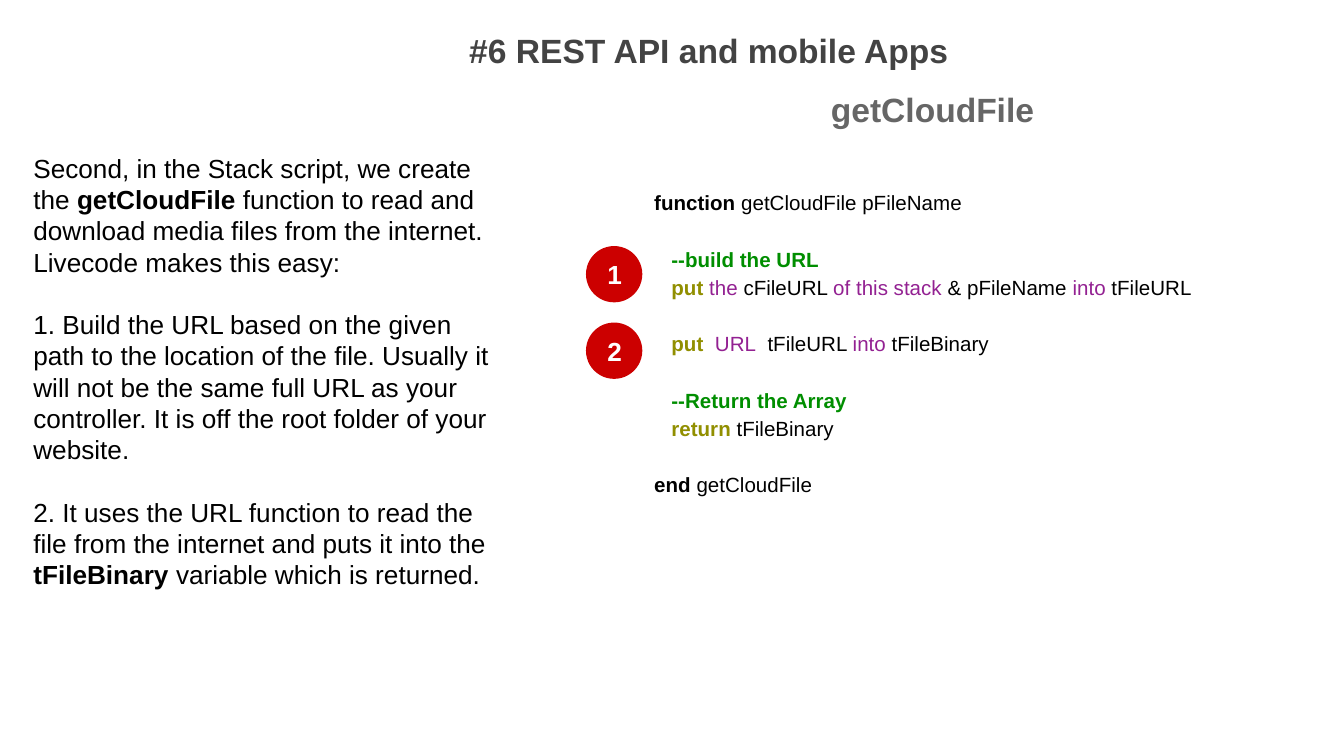
import pptx
import pptx.util
import pptx.dml.color
import pptx.enum.shapes
import pptx.enum.text

Pt = pptx.util.Pt
ALIGN = pptx.enum.text.PP_ALIGN
ANCHOR = pptx.enum.text.MSO_ANCHOR

COLORS = {
    "title": "434343", "subtitle": "666666", "text": "000000",
    "comment": "008E00", "command": "918F00", "keyword": "932192",
    "badge": "CC0000", "badge_text": "FFFFFF",
}
INSET = 7.2
CODE_LINE = 15
CODE_INDENT = 9.2
BODY_LINE = 16.5

# Each span is (text, color name, bold)
BODY = [
    [("Second, in the Stack script, we create the ", "text", False),
     ("getCloudFile", "text", True),
     (" function to read and download media files from the internet. "
      "Livecode makes this easy:", "text", False)],
    [("1. Build the URL based on the given path to the location of the file. "
      "Usually it will not be the same full URL as your controller. "
      "It is off the root folder of your website.", "text", False)],
    [("2. It uses the URL function to read the file from the internet "
      "and puts it into the ", "text", False),
     ("tFileBinary", "text", True),
     (" variable which is returned.", "text", False)],
]

# Each line is (indent level, starts a new block, spans)
CODE = [
    (0, False, [("function", "text", True),
                (" getCloudFile pFileName", "text", False)]),
    (1, True, [("--build the URL", "comment", True)]),
    (1, False, [("put ", "command", True), ("the", "keyword", False),
                (" cFileURL ", "text", False),
                ("of this stack", "keyword", False),
                (" & pFileName ", "text", False),
                ("into", "keyword", False), (" tFileURL", "text", False)]),
    (1, True, [("put  ", "command", True), ("URL", "keyword", False),
               ("  tFileURL ", "text", False),
               ("into", "keyword", False), (" tFileBinary", "text", False)]),
    (1, True, [("--Return the Array", "comment", True)]),
    (1, False, [("return", "command", True),
                (" tFileBinary", "text", False)]),
    (0, True, [("end", "text", True), (" getCloudFile", "text", False)]),
]


def apply(target, values):
    for name, value in values.items():
        setattr(target, name, value)


def rgb(name):
    return pptx.dml.color.RGBColor.from_string(COLORS[name])


def place(shape, box):
    names = ("left", "top", "width", "height")
    apply(shape, {name: Pt(value) for name, value in zip(names, box)})


def prepare_frame(shape, anchor=ANCHOR.TOP, top_inset=INSET):
    frame = shape.text_frame
    apply(frame, {
        "word_wrap": True, "auto_size": pptx.enum.text.MSO_AUTO_SIZE.NONE,
        "vertical_anchor": anchor, "margin_top": Pt(top_inset),
        "margin_left": Pt(INSET), "margin_right": Pt(INSET),
        "margin_bottom": Pt(INSET)})
    return frame


def fill_para(para, spans, size, **formats):
    apply(para, {"space_before": Pt(0), "line_spacing": 1.0, **formats})
    for text, color, bold in spans:
        span = para.add_run()
        span.text = text
        apply(span.font, {"name": "Arial", "size": Pt(size), "bold": bold})
        span.font.color.rgb = rgb(color)


def next_para(frame, index):
    return frame.add_paragraph() if index else frame.paragraphs[0]


def draw_heading(shape, box, text, color):
    place(shape, box)
    frame = prepare_frame(shape)
    fill_para(frame.paragraphs[0], [(text, color, True)], 18,
              alignment=ALIGN.CENTER)


def draw_body(page, box):
    frame = prepare_frame(page.shapes.add_textbox(*map(Pt, box)))
    for index, spans in enumerate(BODY):
        fill_para(next_para(frame, index), spans, 14,
                  space_before=Pt(BODY_LINE if index else 0))


def draw_code(page, box):
    # The code starts one line below the top of its box
    frame = prepare_frame(page.shapes.add_textbox(*map(Pt, box)),
                          top_inset=INSET + CODE_LINE)
    for index, (level, new_block, spans) in enumerate(CODE):
        para = next_para(frame, index)
        fill_para(para, spans, 11, line_spacing=1.15,
                  space_before=Pt(CODE_LINE if new_block else 0))
        properties = para._p.get_or_add_pPr()
        properties.set("marL", str(Pt(level * CODE_INDENT)))
        properties.set("indent", "0")


def draw_badges(page, box, labels, pitch):
    left, top, width, height = box
    for index, label in enumerate(labels):
        badge = page.shapes.add_shape(
            pptx.enum.shapes.MSO_SHAPE.OVAL,
            Pt(left), Pt(top + index * pitch), Pt(width), Pt(height))
        badge.shadow.inherit = False
        badge.fill.solid()
        badge.fill.fore_color.rgb = rgb("badge")
        badge.line.fill.background()
        frame = prepare_frame(badge, ANCHOR.MIDDLE)
        fill_para(frame.paragraphs[0], [(label, "badge_text", True)], 14,
                  alignment=ALIGN.CENTER)


def main():
    deck = pptx.Presentation()
    apply(deck, {"slide_width": Pt(720), "slide_height": Pt(405)})
    page = deck.slides.add_slide(deck.slide_layouts.get_by_name("Title Only"))

    # Headings
    draw_heading(page.shapes.title, (55.4, 8.6, 648.7, 51.1),
                 "#6 REST API and mobile Apps", "title")
    # Code listing and explanation
    draw_code(page, (343.4, 77.8, 368.6, 311.8))
    draw_body(page, (10.8, 74.2, 263.5, 311.8))
    # Step numbers
    draw_badges(page, (313.9, 131.8, 30.2, 30.2), "12", 41)
    # Function name
    subtitle = page.shapes.add_textbox(0, 0, 0, 0)
    draw_heading(subtitle, (343.4, 40.3, 312.5, 41.8),
                 "getCloudFile", "subtitle")

    deck.save("out.pptx")


if __name__ == "__main__":
    main()
